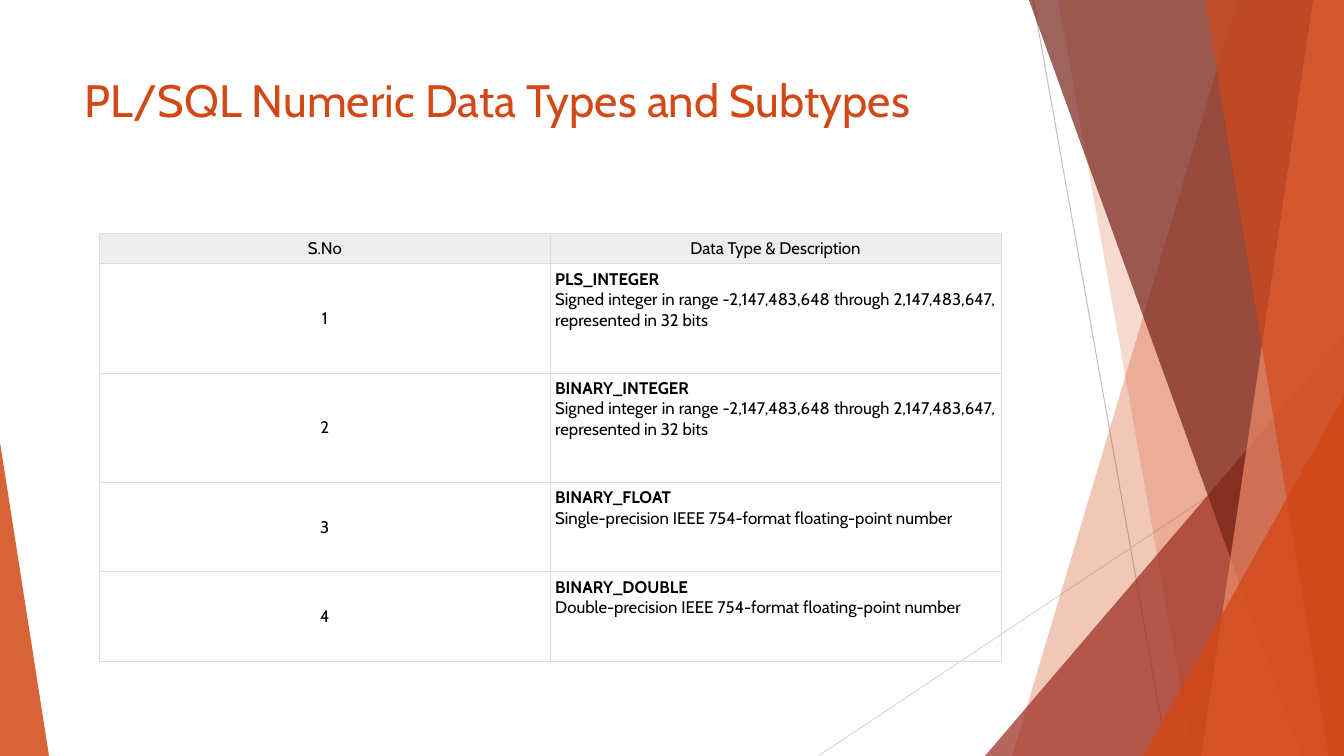
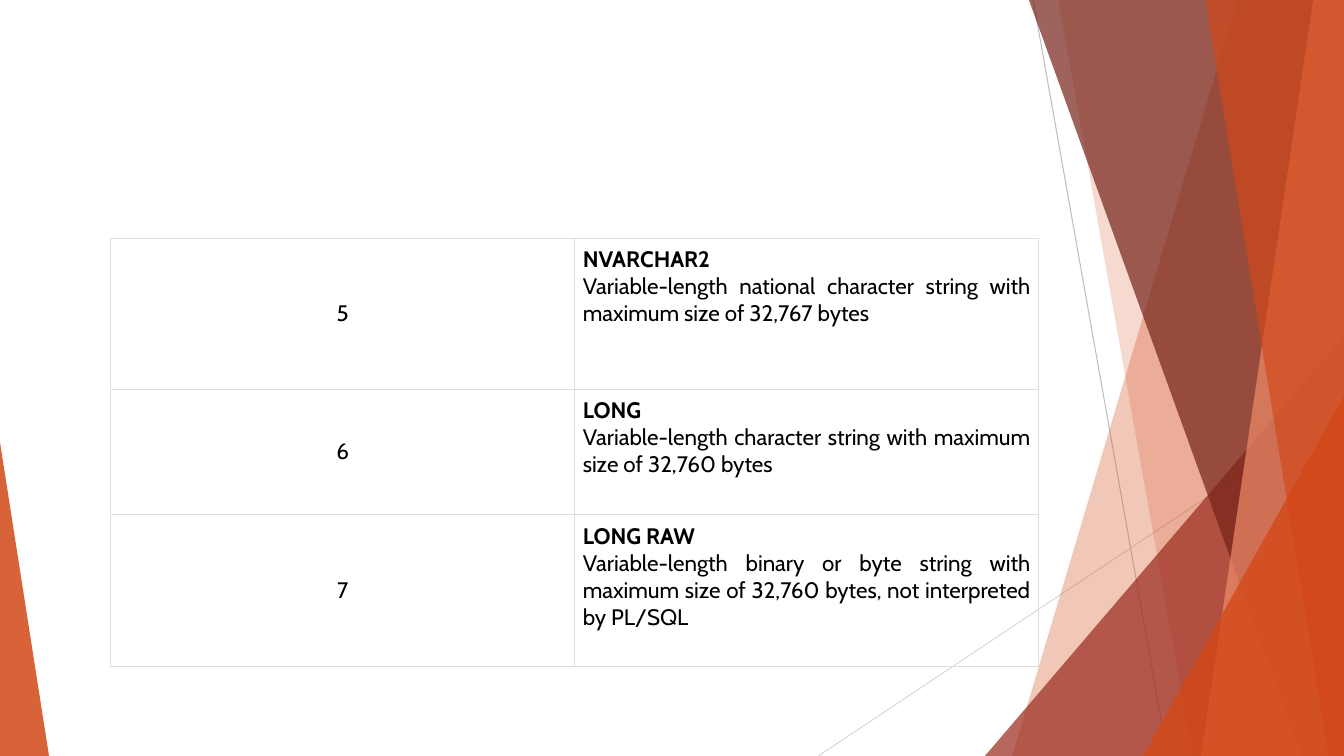
"""Build two slides of PL/SQL data type tables over a shared faceted backdrop."""
from itertools import count

from lxml.etree import SubElement
from pptx import Presentation
from pptx.dml.color import RGBColor
from pptx.enum.shapes import MSO_CONNECTOR, MSO_SHAPE
from pptx.enum.text import MSO_ANCHOR, PP_ALIGN
from pptx.oxml import parse_xml
from pptx.oxml.ns import nsdecls, qn
from pptx.util import Pt

WIDE, HIGH = 960, 540
RUST, BRICK, WINE, CORAL = "D34817", "9B2D1F", "742217", "EF8C6A"
BLACK, GRID, SHADE = "000000", "DDDDDD", "EEEEEE"


def tint(code):
    return RGBColor.from_string(code)


def write(line, text, size, code=BLACK, bold=False, align=PP_ALIGN.LEFT):
    line.alignment = align
    run = line.add_run()
    run.text = text
    look = {"name": "Cabin", "size": Pt(size), "bold": bold}
    for key, value in look.items():
        setattr(run.font, key, value)
    run.font.color.rgb = tint(code)


deck = Presentation()
deck.slide_width, deck.slide_height = Pt(WIDE), Pt(HIGH)
first = deck.slides.add_slide(deck.slide_layouts[5])
second = deck.slides.add_slide(deck.slide_layouts[6])

decor = []
rays = [
    ((738, 0), (834, HIGH), "BFBFBF"),
    ((WIDE, 290), (584.5, HIGH), "D9D9D9"),
]
for start, end, code in rays:
    ray = first.shapes.add_connector(
        MSO_CONNECTOR.STRAIGHT, *[Pt(n) for n in start + end])
    ray.line.color.rgb = tint(code)
    ray.line.width = Pt(0.75)
    SubElement(ray.element.spPr, qn("a:effectLst"))
    decor.append(ray)

# Bands are (top x, foot x); peaks are (left, top, width, apex).
facets = [
    ((884, 723), RUST, 30),
    ((756, 852), RUST, 20),
    ((703.5, 240, 256.5, 1), BRICK, 72),
    ((735, 929.5), WINE, 70),
    ((938, 858), CORAL, 70),
    ((861, 949), RUST, 65),
    ((816.5, 283, 143.5, 1), RUST, 80),
    ((0, 316, 35, 0), RUST, 85),
]
for form, code, alpha in facets:
    if len(form) == 2:
        top, foot = form
        pen = first.shapes.build_freeform(top, 0, scale=Pt(1))
        pen.add_line_segments([(WIDE, 0), (WIDE, HIGH), (foot, HIGH)])
        facet = pen.convert_to_shape()
    else:
        left, top, width, apex = form
        facet = first.shapes.add_shape(
            MSO_SHAPE.ISOSCELES_TRIANGLE,
            Pt(left), Pt(top), Pt(width), Pt(HIGH - top))
        facet.adjustments[0] = apex
    facet.shadow.inherit = False
    facet.line.fill.background()
    facet.fill.solid()
    facet.fill.fore_color.rgb = tint(code)
    shade = facet.element.spPr.find(qn("a:solidFill"))[0]
    SubElement(shade, qn("a:alpha"), val=str(alpha * 1000))
    decor.append(facet)

tree = deck.slide_master.shapes.element
for part, mark in zip(decor, count(100)):
    part.element.xpath(".//p:cNvPr")[0].set("id", str(mark))
    tree.append(part.element)

title = first.shapes.title
place = {"left": 53.5, "top": 48, "width": 677, "height": 104}
for key, value in place.items():
    setattr(title, key, Pt(value))
title.text_frame.word_wrap = True
title.text_frame.vertical_anchor = MSO_ANCHOR.TOP
write(title.text_frame.paragraphs[0],
      "PL/SQL Numeric Data Types and Subtypes", 32.4, RUST)

signed = ("Signed integer in range -2,147,483,648 through 2,147,483,647, "
          "represented in 32 bits")
tables = [
    {
        "slide": first, "left": 71, "top": 166.5, "col": 322,
        "size": 12, "inset": 3.6, "heights": [22, 78, 78, 64, 64],
        "rows": [
            ("S.No", "Data Type & Description"),
            ("1", "PLS_INTEGER", signed),
            ("2", "BINARY_INTEGER", signed),
            ("3", "BINARY_FLOAT",
             "Single-precision IEEE 754-format floating-point number"),
            ("4", "BINARY_DOUBLE",
             "Double-precision IEEE 754-format floating-point number"),
        ],
    },
    {
        "slide": second, "left": 79, "top": 170, "col": 331.5,
        "size": 16, "inset": 5.8, "heights": [108, 89.5, 108.5],
        "rows": [
            ("5", "NVARCHAR2", "Variable-length national character string "
             "with maximum size of 32,767 bytes"),
            ("6", "LONG", "Variable-length character string "
             "with maximum size of 32,760 bytes"),
            ("7", "LONG RAW", "Variable-length binary or byte string with "
             "maximum size of 32,760 bytes, not interpreted by PL/SQL"),
        ],
    },
]

for plan in tables:
    rows, size = plan["rows"], plan["size"]
    grid = plan["slide"].shapes.add_table(
        len(rows), 2, Pt(plan["left"]), Pt(plan["top"]),
        Pt(2 * plan["col"]), Pt(sum(plan["heights"]))).table
    grid.first_row = grid.horz_banding = False
    for col in grid.columns:
        col.width = Pt(plan["col"])
    for row, high, (label, name, *notes) in zip(
            grid.rows, plan["heights"], rows):
        row.height = Pt(high)
        for cell in row.cells:
            for side in ("left", "right", "top", "bottom"):
                setattr(cell, "margin_" + side, Pt(plan["inset"]))
            frame = cell._tc.get_or_add_tcPr()
            for edge in "LRTB":
                frame.append(parse_xml(
                    f'<a:ln{edge} {nsdecls("a")} w="{Pt(0.75)}"><a:solidFill>'
                    f'<a:srgbClr val="{GRID}"/></a:solidFill></a:ln{edge}>'))
            if notes:
                cell.fill.background()
            else:
                cell.fill.solid()
                cell.fill.fore_color.rgb = tint(SHADE)
        key, body = row.cells
        key.vertical_anchor = MSO_ANCHOR.MIDDLE if notes else MSO_ANCHOR.TOP
        write(key.text_frame.paragraphs[0], label, size,
              align=PP_ALIGN.CENTER)
        write(body.text_frame.paragraphs[0], name, size, bold=bool(notes),
              align=PP_ALIGN.JUSTIFY if notes else PP_ALIGN.CENTER)
        for note in notes:
            write(body.text_frame.add_paragraph(), note, size,
                  align=PP_ALIGN.JUSTIFY)

deck.save("out.pptx")
